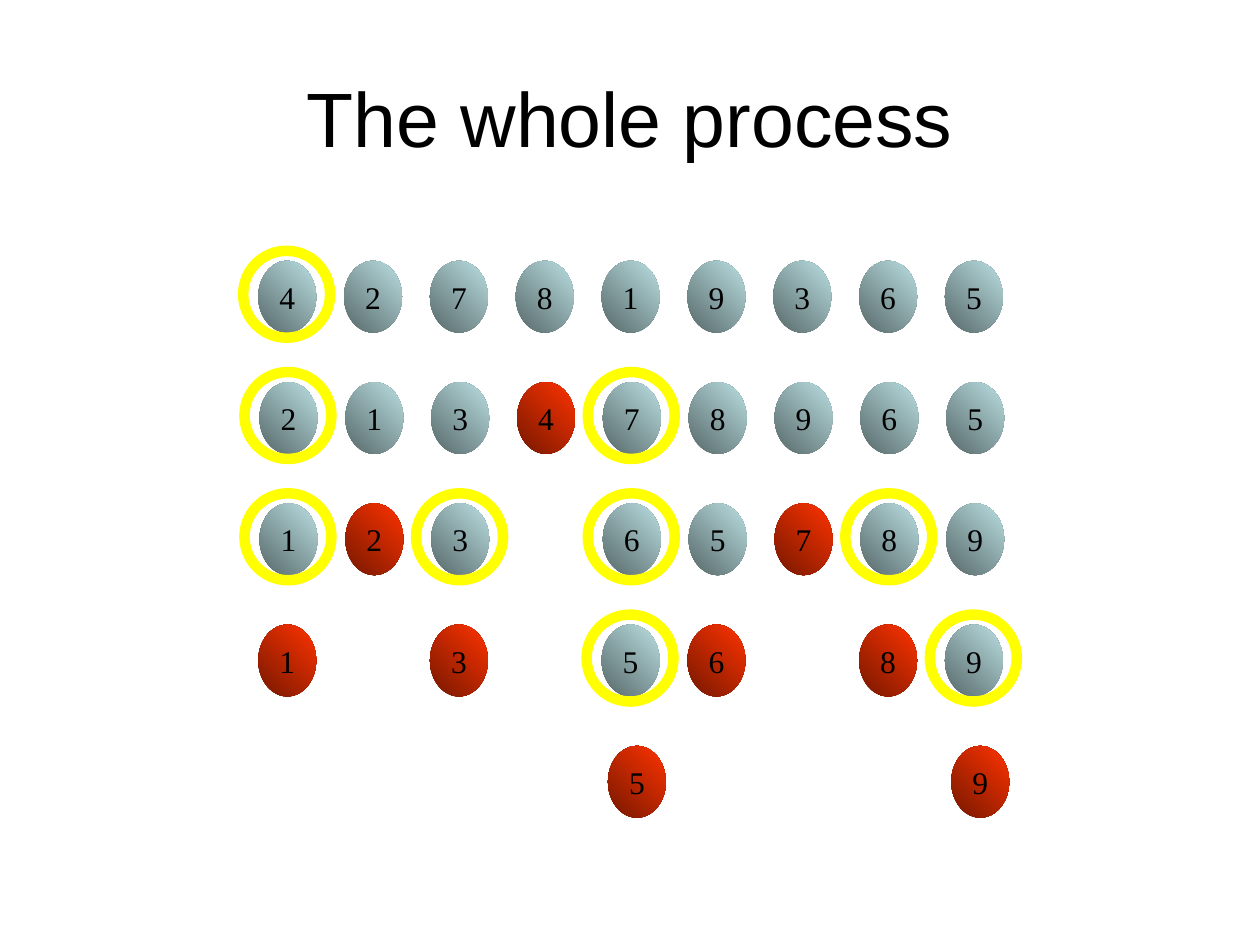
from pptx import Presentation
from pptx.dml.color import RGBColor
from pptx.enum.shapes import MSO_SHAPE
from pptx.enum.text import MSO_ANCHOR, MSO_AUTO_SIZE, PP_ALIGN
from pptx.util import Inches, Pt

GREY = ("576869", "BBE0E3")
RED = ("761800", "FF3300")
BALL_W, BALL_H, RING = 0.46, 0.57, 0.69
COL_STEP, ROW_STEP, TOP = 5.45 / 8, 3.85 / 4, 2.07

# Each step: left edge, values by column, placed values (red), pivots (ringed)
STEPS = [
    (2.05, "427819365", "", "4"),
    (2.06, "213478965", "4", "27"),
    (2.06, "123.65789", "27", "1368"),
    (2.05, "1.3.56.89", "1368", "59"),
    (2.10, "....5...9", "59", ""),
]


def color(hex_value):
    return RGBColor.from_string(hex_value)


def style_text(tf, text, font, size):
    tf.vertical_anchor = MSO_ANCHOR.MIDDLE
    p = tf.paragraphs[0]
    p.text = text
    p.alignment = PP_ALIGN.CENTER
    p.font.name = font
    p.font.size = Pt(size)
    p.font.color.rgb = color("000000")


def add_title(s, text):
    tf = s.shapes.add_textbox(Inches(0.5), Inches(0.3), Inches(9), Inches(1.25)).text_frame
    tf.word_wrap = True
    style_text(tf, text, "Arial", 44)


def add_oval(s, x, y, w, h):
    sp = s.shapes.add_shape(MSO_SHAPE.OVAL, Inches(x), Inches(y), Inches(w), Inches(h))
    sp.shadow.inherit = False
    return sp


def add_ball(s, x, y, value, gradient):
    sp = add_oval(s, x, y, BALL_W, BALL_H)
    sp.line.fill.background()
    sp.fill.gradient()
    sp.fill.gradient_angle = 45
    for stop, hex_value in zip(sp.fill.gradient_stops, gradient):
        stop.color.rgb = color(hex_value)
    tf = sp.text_frame
    tf.word_wrap = False
    tf.auto_size = MSO_AUTO_SIZE.SHAPE_TO_FIT_TEXT
    style_text(tf, value, "Times New Roman", 18)


def add_ring(s, x, y):
    sp = add_oval(s, x, y, RING, RING)
    sp.fill.background()
    sp.line.color.rgb = color("FFFF00")
    sp.line.width = Pt(6)


def add_step(s, y, left, values, placed, pivots):
    cells = [(left + col * COL_STEP, v) for col, v in enumerate(values) if v != "."]
    for x, value in cells:
        add_ball(s, x, y, value, RED if value in placed else GREY)
    # Rings lie above the balls
    for x, value in cells:
        if value in pivots:
            add_ring(s, x - 0.12, y - 0.08)


def main():
    prs = Presentation()
    prs.slide_width, prs.slide_height = Inches(10), Inches(7.5)
    s = prs.slides.add_slide(prs.slide_layouts[6])
    add_title(s, "The whole process")
    # Sorting steps from top to bottom
    for row, step in enumerate(STEPS):
        add_step(s, TOP + row * ROW_STEP, *step)
    prs.save("out.pptx")


if __name__ == "__main__":
    main()
